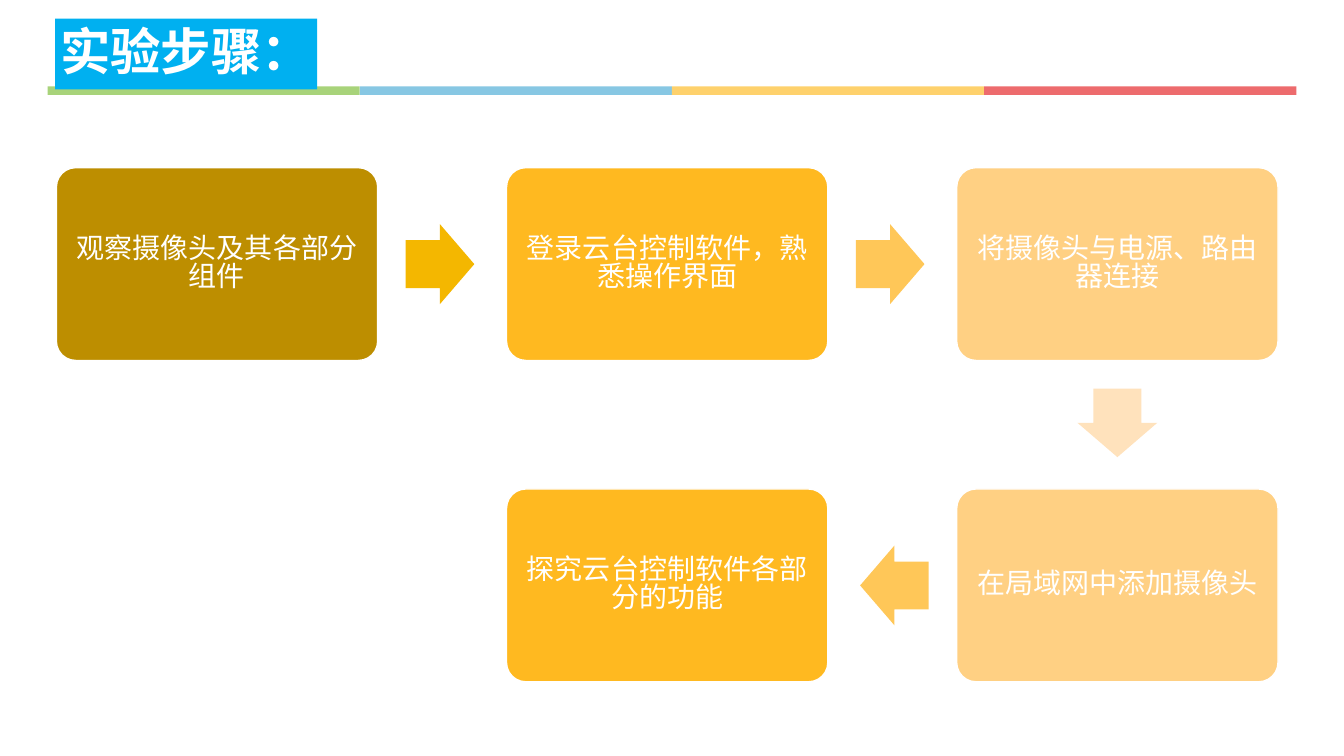
from lxml import etree
from pptx import Presentation
from pptx.dml import color as c
from pptx.enum import shapes, text
from pptx.oxml import ns
from pptx.util import Pt

FONT = "Noto Sans CJK SC"
KIND = shapes.MSO_SHAPE
RIGHT, DOWN, LEFT = (1, 0), (0, 1), (-1, 0)
TURN = {RIGHT: 0, DOWN: 90, LEFT: 180}
STRIPES = ["A8D37A", "87C7E3", "FED16C", "ED6B6D"]
STEPS = [
    ("观察摄像头及其各部分组件", 0, 0, "BD8E00", RIGHT, "F4B700"),
    ("登录云台控制软件，熟悉操作界面", 1, 0, "FFB920", RIGHT, "FFC758"),
    ("将摄像头与电源、路由器连接", 2, 0, "FFD083", DOWN, "FFE2BC"),
    ("在局域网中添加摄像头", 2, 1, "FFD083", LEFT, "FFC758"),
    ("探究云台控制软件各部分的功能", 1, 1, "FFB920", None, None),
]


def paint(hue):
    return c.RGBColor.from_string(hue)


def block(slide, kind, box, fill, line=None, adj=()):
    shape = slide.shapes.add_shape(kind, *map(Pt, box))
    shape.shadow.inherit = False
    shape.fill.solid()
    shape.fill.fore_color.rgb = paint(fill)
    if line:
        shape.line.color.rgb = paint(line)
        shape.line.width = Pt(1)
    else:
        shape.line.fill.background()
    for i, part in enumerate(adj):
        shape.adjustments[i] = part
    return shape


def write(shape, words, size=20, hue="FFFFFF", bold=False, wrap=True,
          align=text.PP_ALIGN.CENTER, pad=6, lead=0.84):
    frame = shape.text_frame
    frame.word_wrap = wrap
    frame.vertical_anchor = text.MSO_ANCHOR.MIDDLE
    frame.margin_left = frame.margin_right = Pt(pad)
    frame.margin_top = frame.margin_bottom = Pt(pad)
    para = frame.paragraphs[0]
    para.alignment = align
    para.line_spacing = lead
    run = para.add_run()
    run.text = words
    run.font.size = Pt(size)
    run.font.bold = bold
    run.font.color.rgb = paint(hue)
    run.font.name = FONT
    east = etree.SubElement(run.font._element, ns.qn("a:ea"))
    east.set("typeface", FONT)


def header(slide, x, y, w, h):
    part = w / len(STRIPES)
    for i, hue in enumerate(STRIPES):
        block(slide, KIND.RECTANGLE, (x + i * part, y + h - 6, part, 6), hue)
    title = block(slide, KIND.RECTANGLE, (x + 5.4, y, 187.2, 50.6), "00B0F0")
    write(title, "实验步骤：", size=36, bold=True, wrap=False,
          align=text.PP_ALIGN.LEFT, pad=3.6, lead=0.92)


def flow(slide, x, y, w, h):
    wide, high = w * 0.263, h * 0.375
    long, thick, gap = 49, 57, 20
    for words, col, row, fill, way, hue in STEPS:
        left = x + col * (w - wide) / 2
        top = y + row * (h - high)
        step = block(slide, KIND.ROUNDED_RECTANGLE, (left, top, wide, high),
                     fill, line="FFFFFF", adj=[0.1])
        write(step, words)
        if way:
            dx, dy = way
            mid = left + wide / 2 + dx * (wide / 2 + gap + long / 2)
            centre = top + high / 2 + dy * (high / 2 + gap + long / 2)
            arrow = block(slide, KIND.RIGHT_ARROW,
                          (mid - long / 2, centre - thick / 2, long, thick),
                          hue, adj=[0.6, 0.5])
            arrow.rotation = TURN[way]


def main():
    deck = Presentation()
    deck.slide_width, deck.slide_height = Pt(960), Pt(540)
    slide = deck.slides.add_slide(deck.slide_layouts[6])
    header(slide, 34, 13.3, 892, 54.5)
    flow(slide, 40.3, 119.8, 872.6, 367.2)
    deck.save("out.pptx")


if __name__ == "__main__":
    main()
